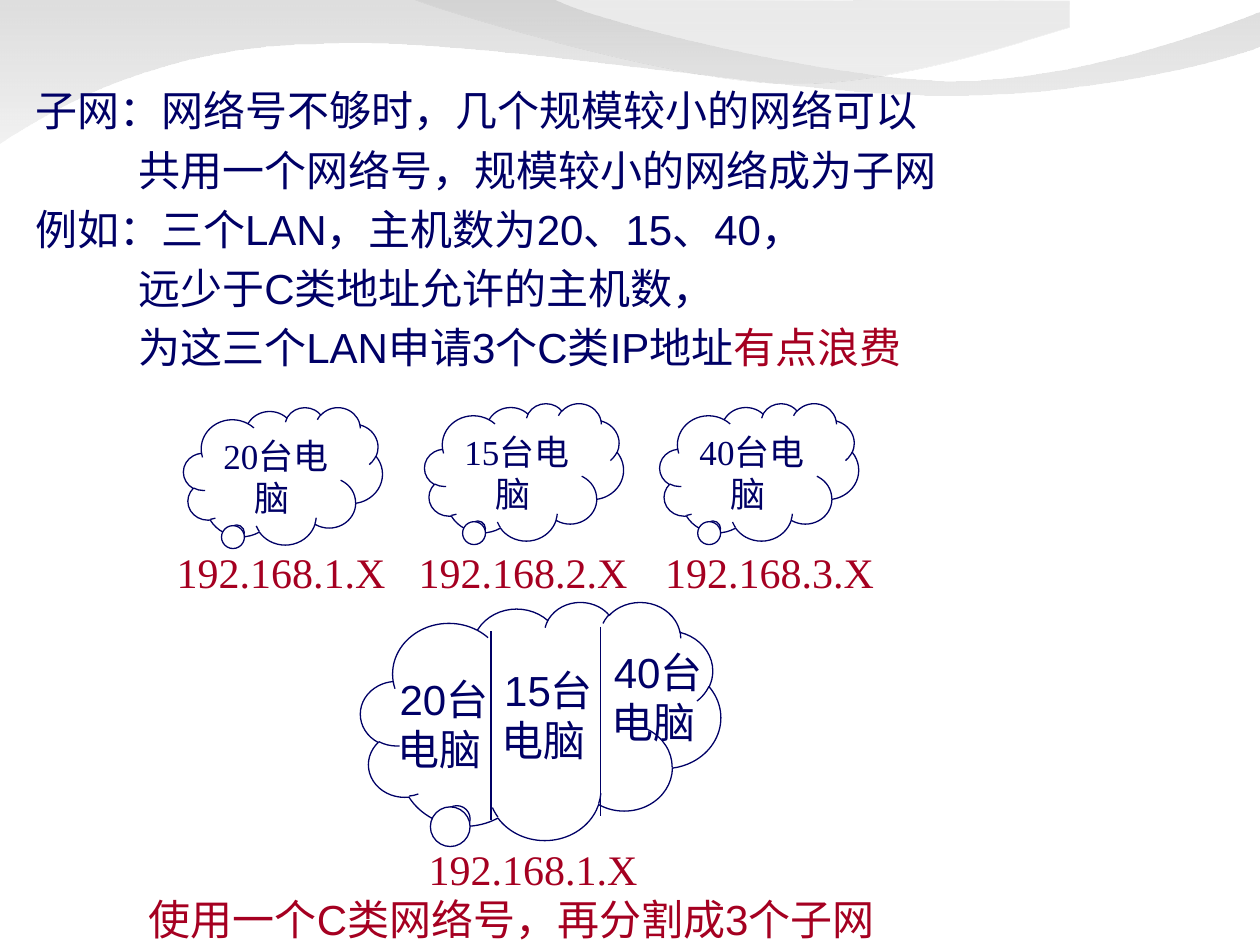
"""Build the slide on sharing one network number between subnets."""
from lxml.etree import SubElement
from pptx import Presentation
from pptx.dml.color import RGBColor as RGB
from pptx.enum.shapes import MSO_CONNECTOR as CONN, MSO_SHAPE as SHAPE
from pptx.enum.text import MSO_ANCHOR as ANCHOR, PP_ALIGN as ALIGN
from pptx.oxml.ns import qn
from pptx.util import Cm, Pt

COLORS = {"navy": "000066", "red": "A50021", "white": "FFFFFF"}
SERIF, SANS = "Times New Roman", "Arial"
INDENT = 2.08

WAVES = [
    {"start": (0, 0),
     "path": [[(11.18, 0)],
              [(12.07, 0.46), (16.84, 1.63), (19.25, 1.63)],
              [(21.64, 1.63), (24.31, 0.66), (25.37, 0.25)],
              [(25.4, 0.94)],
              [(24.94, 1.14), (22.07, 1.96), (18.92, 1.93)],
              [(15.77, 1.93), (9.7, 0.74), (6.53, 0.89)],
              [(3.28, 0.91), (1.17, 2.13), (0, 2.9)]],
     "stops": [(0, "B7B7B7", 45), (1, "E7E7E7", 55)]},
    {"start": (8.36, 0),
     "path": [[(9.12, 0.3), (13.49, 1.6), (15.7, 1.68)],
              [(17.88, 1.78), (20.57, 0.84), (21.56, 0.56)],
              [(21.56, 0.03)]],
     "stops": [(0, "BDBDBD", 30), (0.8, "DBDBDB", 45)]},
]

INTRO = [
    {"runs": [("子网：网络号不够时，几个规模较小的网络可以\v"
               "共用一个网络号，规模较小的网络成为子网", "navy")],
     "font": SERIF, "left": INDENT, "first": -INDENT, "spacing": 1.2},
    {"runs": [("例如：三个LAN，主机数为20、15、40，", "navy")], "before": 4.8},
    {"runs": [("远少于C类地址允许的主机数，", "navy")], "left": INDENT, "before": 4.8},
    {"runs": [("为这三个LAN申请3个C类IP地址", "navy"), ("有点浪费", "red")],
     "left": INDENT, "before": 4.8},
]
SUMMARY = [{"runs": [("使用一个C类网络号，再分割成3个子网", "red")],
            "left": 2.29, "spacing": 1.2}]

CLOUD_SIZE, LABEL_SIZE, PART_SIZE = (4.01, 2.77), (5.26, 1.19), (3.12, 2.24)
NETWORKS = [
    {"hosts": 20, "cloud": (3.7, 8.21), "part": (7.39, 13.49)},
    {"hosts": 15, "cloud": (8.56, 8.13), "part": (9.5, 13.31)},
    {"hosts": 40, "cloud": (13.3, 8.13), "part": (11.71, 12.95)},
]
ADDRESSES = [("192.168.1.X", (3.38, 10.93)), ("192.168.2.X", (8.26, 10.93)),
             ("192.168.3.X", (13.23, 10.93)), ("192.168.1.X", (8.46, 16.92))]
SHARED_CLOUD = ((7.27, 12.13), (7.26, 4.8))
DIVIDERS = [(9.9, 12.73), (12.1, 12.63)]
DIVIDER_HEIGHT = 3.81
BRACES = [((7.42, 6.81), (0.58, 9.7), 1.479),
          ((15.16, 10.74), (0.43, 1.7), 0.348),
          ((13.51, 11.15), (0.43, 0.84), 0.174)]


def rgb(name):
    return RGB.from_string(COLORS[name])


def cm(*values):
    return [Cm(v) for v in values]


def add_wave(s, wave):
    builder = s.shapes.build_freeform(*cm(*wave["start"]))
    builder.add_line_segments([cm(*seg[-1]) for seg in wave["path"]], close=True)
    sp = builder.convert_to_shape()
    sp.shadow.inherit = False
    sp.line.fill.background()
    lines = list(sp._element.spPr.iter(qn("a:lnTo")))
    for line, segment in zip(lines, wave["path"]):
        if len(segment) == 3:
            line.tag = qn("a:cubicBezTo")
            line.clear()
            for x, y in segment:
                SubElement(line, qn("a:pt"), x=str(Cm(x) - sp.left), y=str(Cm(y) - sp.top))
    sp.fill.gradient()
    sp.fill.gradient_angle = 270
    for stop, (position, color, _) in zip(sp.fill.gradient_stops, wave["stops"]):
        stop.position = position
        stop.color.rgb = RGB.from_string(color)
    colors = list(sp._element.spPr.iter(qn("a:srgbClr")))
    for node, (_, _, alpha) in zip(colors, wave["stops"]):
        SubElement(node, qn("a:alpha"), val=str(alpha * 1000))


def write(tf, paragraphs, size=24, font=SANS, align=ALIGN.LEFT):
    for i, item in enumerate(paragraphs):
        p = tf.add_paragraph() if i else tf.paragraphs[0]
        pPr = p._p.get_or_add_pPr()
        pPr.set("marL", str(Cm(item.get("left", 0))))
        pPr.set("indent", str(Cm(item.get("first", 0))))
        formats = {"alignment": align, "space_before": Pt(item.get("before", 0)),
                   "line_spacing": item.get("spacing", 1.0)}
        for key, value in formats.items():
            setattr(p, key, value)
        for text, color in item["runs"]:
            for n, line in enumerate(text.split("\v")):
                if n:
                    p.add_line_break()
                r = p.add_run()
                r.text = line
                for key, value in {"size": Pt(size), "name": item.get("font", font)}.items():
                    setattr(r.font, key, value)
                r.font.color.rgb = rgb(color)


def add_text(s, position, size, paragraphs, **style):
    tf = s.shapes.add_textbox(*cm(*position, *size)).text_frame
    margins = {"margin_left": 0.18, "margin_right": 0.18,
               "margin_top": 0.08, "margin_bottom": 0.08}
    for key, value in margins.items():
        setattr(tf, key, Cm(value))
    tf.word_wrap = True
    write(tf, paragraphs, **style)


def set_line(sp, color, width):
    sp.line.color.rgb = rgb(color)
    sp.line.width = Pt(width)


def add_cloud(s, position, size):
    sp = s.shapes.add_shape(SHAPE.CLOUD_CALLOUT, *cm(*position, *size))
    sp.adjustments[0], sp.adjustments[1] = -0.238, 0.422
    sp.shadow.inherit = False
    sp.fill.solid()
    sp.fill.fore_color.rgb = rgb("white")
    set_line(sp, "navy", 0.75)
    sp.text_frame.word_wrap = True
    sp.text_frame.vertical_anchor = ANCHOR.TOP
    return sp


def add_brace(s, position, size, curl):
    sp = s.shapes.add_shape(SHAPE.LEFT_BRACE, *cm(*position, *size))
    sp.adjustments[0], sp.adjustments[1] = curl, 0.5
    sp.rotation = 269.6
    sp.shadow.inherit = False
    sp.fill.background()
    set_line(sp, "white", 2)


def add_divider(s, x, top):
    line = s.shapes.add_connector(CONN.STRAIGHT, *cm(x, top, x, top + DIVIDER_HEIGHT))
    set_line(line, "navy", 0.75)
    SubElement(line._element.spPr, qn("a:effectLst"))


def main():
    prs = Presentation()
    prs.slide_width, prs.slide_height = cm(25.4, 19.05)
    s = prs.slides.add_slide(prs.slide_layouts[6])
    for wave in WAVES:
        add_wave(s, wave)
    add_text(s, (0.53, 1.42), (21.97, 6.32), INTRO)
    add_text(s, (0.53, 17.73), (22.76, 1.3), SUMMARY)
    for brace in BRACES:
        add_brace(s, *brace)
    for net in NETWORKS:
        sp = add_cloud(s, net["cloud"], CLOUD_SIZE)
        write(sp.text_frame, [{"runs": [(f"{net['hosts']}台电脑 ", "navy")]}],
              size=20, font=SERIF, align=ALIGN.CENTER)
    add_cloud(s, *SHARED_CLOUD)
    for address, position in ADDRESSES:
        add_text(s, position, LABEL_SIZE, [{"runs": [(address, "red")]}], font=SERIF)
    for x, top in DIVIDERS:
        add_divider(s, x, top)
    for net in NETWORKS:
        add_text(s, net["part"], PART_SIZE,
                 [{"runs": [(f"{net['hosts']}台\v电脑 ", "navy")]}], align=ALIGN.CENTER)
    prs.save("out.pptx")


if __name__ == "__main__":
    main()
